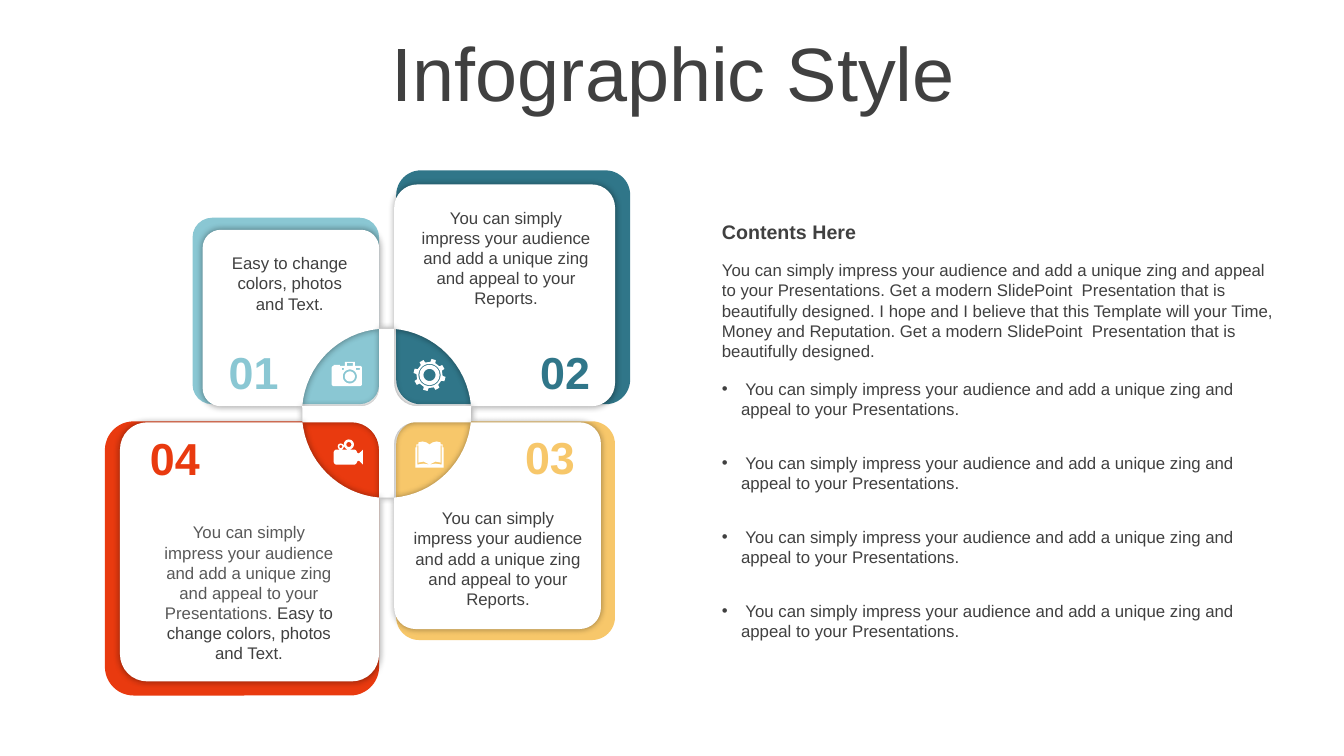
from math import cos, sin, pi, radians, sqrt
from lxml import etree
from pptx import Presentation
from pptx.dml.color import RGBColor
from pptx.enum import shapes, text
from pptx.oxml import ns
from pptx.util import Inches, Pt

FONT, DARK, GREY, WHITE = "Arial", "404040", "595959", "FFFFFF"
TITLE = "Infographic Style"
ZING = "You can simply impress your audience and add a unique zing and appeal to your "
EASY = "Easy to change colors, photos and Text."
HEADING = "Contents Here"
INTRO = (ZING + "Presentations. Get a modern SlidePoint  Presentation that is beautifully "
         "designed. I hope and I believe that this Template will your Time, Money and "
         "Reputation. Get a modern SlidePoint  Presentation that is beautifully designed.")
BULLETS = [" " + ZING + "Presentations."] * 4

HUB, HUB_R = (3.835, 4.1), 0.84
PANELS = {
    "02": dict(color="307689", back=(3.93, 1.69, 2.32), inner=(3.91, 4.03), outer=(6.1, 1.83),
               radius=0.23, label=(5.25, 3.42), box=(4.07, 2.01, 1.9, 1.11),
               runs=[(ZING + "Reports.", DARK)]),
    "01": dict(color="8AC7D3", back=(1.91, 2.16, 1.85), inner=(3.76, 4.03), outer=(2.01, 2.28),
               radius=0.18, label=(2.16, 3.42), box=(2.16, 2.46, 1.43, 0.71),
               runs=[(EASY, DARK)]),
    "04": dict(color="E93A0F", back=(1.04, 4.18, 2.72), inner=(3.76, 4.19), outer=(1.19, 6.76),
               radius=0.27, label=(1.38, 4.27), box=(1.52, 5.13, 1.9, 1.51),
               runs=[(ZING + "Presentations. ", GREY), (EASY, DARK)]),
    "03": dict(color="F7C76A", back=(3.93, 4.18, 2.17), inner=(3.91, 4.19), outer=(5.96, 6.24),
               radius=0.21, label=(5.1, 4.26), box=(3.99, 4.99, 1.9, 1.11),
               runs=[(ZING + "Reports.", DARK)]),
}


def rgb(value):
    return RGBColor.from_string(value)


def circle(x, y, radius):
    return [(x + radius * cos(a * pi / 16), y + radius * sin(a * pi / 16)) for a in range(32)]


def rect(left, top, right, bottom):
    return [(left, top), (right, top), (right, bottom), (left, bottom)]


def rounded(corner, before, after, radius):
    points = []
    for step in range(9):
        a = step * pi / 16
        points.append(tuple(c + radius * (b * (1 - sin(a)) + d * (1 - cos(a)))
                            for c, b, d in zip(corner, before, after)))
    return points


def sides(panel):
    return [1 if o > i else -1 for i, o in zip(panel["inner"], panel["outer"])]


def hub_ends(panel):
    (ix, iy), (sx, sy) = panel["inner"], sides(panel)
    on_x = (ix, HUB[1] + sy * sqrt(HUB_R ** 2 - (ix - HUB[0]) ** 2))
    on_y = (HUB[0] + sx * sqrt(HUB_R ** 2 - (iy - HUB[1]) ** 2), iy)
    return on_x, on_y


def panel_outline(panel):
    (ix, iy), (ox, oy), (sx, sy) = panel["inner"], panel["outer"], sides(panel)
    radius = panel["radius"]
    points = rounded((ox, iy), (-sx, 0), (0, sy), radius)
    points += rounded((ox, oy), (0, -sy), (-sx, 0), radius)
    points += rounded((ix, oy), (sx, 0), (0, -sy), radius)
    on_x, on_y = hub_ends(panel)
    arc = [(HUB[0] + sx * HUB_R * cos(radians(a)), HUB[1] + sy * HUB_R * sin(radians(a)))
           for a in range(80, 5, -5)]
    return points + [on_x] + arc + [on_y]


def hub_outline():
    points = []
    for number in ("02", "03", "04", "01"):
        panel = PANELS[number]
        sx, sy = sides(panel)
        on_x, on_y = hub_ends(panel)
        part = [on_x] + rounded(panel["inner"], (0, sy), (sx, 0), panel["radius"]) + [on_y]
        points += part if sx * sy < 0 else part[::-1]
    return points


def gear():
    x, y = 4.26, 3.72
    teeth = [(x + r * sin(radians(15 + 45 * n + a)), y - r * cos(radians(15 + 45 * n + a)))
             for n in range(8) for a, r in ((-11, 0.13), (-8, 0.16), (8, 0.16), (11, 0.13))]
    return [teeth] + [circle(x, y, r) for r in (0.11, 0.1, 0.06)]


def camera():
    body = [(3.31, 3.63), (3.31, 3.62), (3.37, 3.62), (3.37, 3.63), (3.42, 3.63), (3.42, 3.59),
            (3.52, 3.59), (3.52, 3.63)]
    body += rounded((3.59, 3.63), (-1, 0), (0, 1), 0.02)
    body += rounded((3.59, 3.83), (0, -1), (-1, 0), 0.02)
    body += rounded((3.29, 3.83), (1, 0), (0, -1), 0.02)
    body += rounded((3.29, 3.63), (0, 1), (1, 0), 0.02)
    return [body, circle(3.47, 3.735, 0.07), circle(3.47, 3.735, 0.05),
            rect(3.39, 3.65, 3.41, 3.67), rect(3.53, 3.65, 3.57, 3.67),
            rect(3.44, 3.6, 3.5, 3.63)]


def video():
    body = rounded((3.31, 4.46), (0, 1), (1, 0), 0.03)
    body += rounded((3.54, 4.46), (-1, 0), (0, 1), 0.03)
    body += [(3.56, 4.5), (3.6, 4.46), (3.6, 4.61), (3.56, 4.57), (3.54, 4.58)]
    body += rounded((3.54, 4.61), (0, -1), (-1, 0), 0.03)
    body += rounded((3.31, 4.61), (1, 0), (0, -1), 0.03)
    reels = [circle(x, y, r) for x, y, radii in ((3.38, 4.43, (0.03, 0.015)),
                                                 (3.46, 4.41, (0.05, 0.025))) for r in radii]
    return [body] + reels


def book():
    def mirror(points):
        return [(2 * 4.26 - x, y) for x, y in reversed(points)]
    cover = [(4.12, 4.64), (4.12, 4.44), (4.13, 4.44), (4.13, 4.41), (4.15, 4.41),
             (4.15, 4.39), (4.19, 4.38), (4.23, 4.39), (4.26, 4.41)]
    groove = [(4.14, 4.42), (4.15, 4.42), (4.15, 4.59), (4.2, 4.58), (4.26, 4.61),
              (4.2, 4.6), (4.14, 4.61)]
    return [cover + mirror(cover), groove, mirror(groove)]


def paint(sp, color):
    sp.fill.solid()
    sp.fill.fore_color.rgb = rgb(color)
    sp.line.fill.background()
    sp.shadow.inherit = False


def outline(s, contours, shadow=False):
    scaled = [[(Inches(x), Inches(y)) for x, y in c] for c in contours]
    builder = s.shapes.build_freeform(*scaled[0][0])
    for i, points in enumerate(scaled):
        if i:
            builder.move_to(*points[0])
        builder.add_line_segments(points[1:], close=True)
    sp = builder.convert_to_shape()
    paint(sp, WHITE)
    if shadow:
        effects = sp._element.spPr.find(ns.qn("a:effectLst"))
        outer = etree.SubElement(effects, ns.qn("a:outerShdw"), blurRad=str(Pt(5)), dist="0",
                                 dir="0", algn="ctr", rotWithShape="0")
        color = etree.SubElement(outer, ns.qn("a:srgbClr"), val="000000")
        etree.SubElement(color, ns.qn("a:alpha"), val="40000")


def place(sp, box, inset=(0.1, 0.05), anchor=text.MSO_ANCHOR.TOP):
    sp.left, sp.top, sp.width, sp.height = map(Inches, box)
    tf = sp.text_frame
    tf.word_wrap, tf.auto_size, tf.vertical_anchor = True, text.MSO_AUTO_SIZE.NONE, anchor
    tf.margin_left = tf.margin_right = Inches(inset[0])
    tf.margin_top = tf.margin_bottom = Inches(inset[1])
    return tf


def write(p, runs, size=12, bold=False, align=text.PP_ALIGN.LEFT):
    p.alignment = align
    for words, color in runs:
        r = p.add_run()
        r.text = words
        r.font.name, r.font.size, r.font.bold = FONT, Pt(size), bold
        r.font.color.rgb = rgb(color)


def text_box(s, box, runs, inset=(0.1, 0.05), anchor=text.MSO_ANCHOR.TOP, **style):
    tf = place(s.shapes.add_textbox(0, 0, 0, 0), box, inset, anchor)
    write(tf.paragraphs[0], runs, **style)


def main():
    prs = Presentation()
    prs.slide_width, prs.slide_height = Inches(13.33), Inches(7.5)
    s = prs.slides.add_slide(prs.slide_layouts[1])
    center, middle = text.PP_ALIGN.CENTER, text.MSO_ANCHOR.MIDDLE

    tf = place(s.shapes.title, (0.35, 0.37, 12.66, 0.79), anchor=middle)
    tf.paragraphs[0].line_spacing = 0.9
    write(tf.paragraphs[0], [(TITLE, DARK)], size=54, align=center)

    for panel in PANELS.values():
        left, top, side = map(Inches, panel["back"])
        sp = s.shapes.add_shape(shapes.MSO_SHAPE.ROUNDED_RECTANGLE, left, top, side, side)
        sp.adjustments[0] = 0.105
        paint(sp, panel["color"])
    fronts = [panel_outline(panel) for panel in PANELS.values()]
    for points in fronts[:2] + [hub_outline()] + fronts[2:]:
        outline(s, [points], shadow=True)
    for number, panel in PANELS.items():
        text_box(s, panel["box"], panel["runs"], align=center)
        text_box(s, (*panel["label"], 0.71, 0.54), [(number, panel["color"])], (0, 0), middle,
                 size=32, bold=True, align=center)
    for icon in (gear, camera, video, book):
        outline(s, icon())

    wide = (0.12, 0.05)
    text_box(s, (7.04, 2.13, 5.74, 0.34), [(HEADING, DARK)], wide, middle, size=14, bold=True)
    text_box(s, (7.04, 2.53, 5.74, 1.11), [(INTRO, DARK)], wide)
    tf = place(s.placeholders[1], (7.04, 3.71, 5.74, 2.64), wide)
    for i, words in enumerate(BULLETS):
        p = tf.add_paragraph() if i else tf.paragraphs[0]
        pPr = p._p.get_or_add_pPr()
        pPr.set("marL", str(Inches(0.19)))
        pPr.set("indent", str(Inches(-0.19)))
        p.space_before = Pt(24 if i else 0)
        write(p, [(words, DARK)])
    prs.save("out.pptx")


if __name__ == "__main__":
    main()
